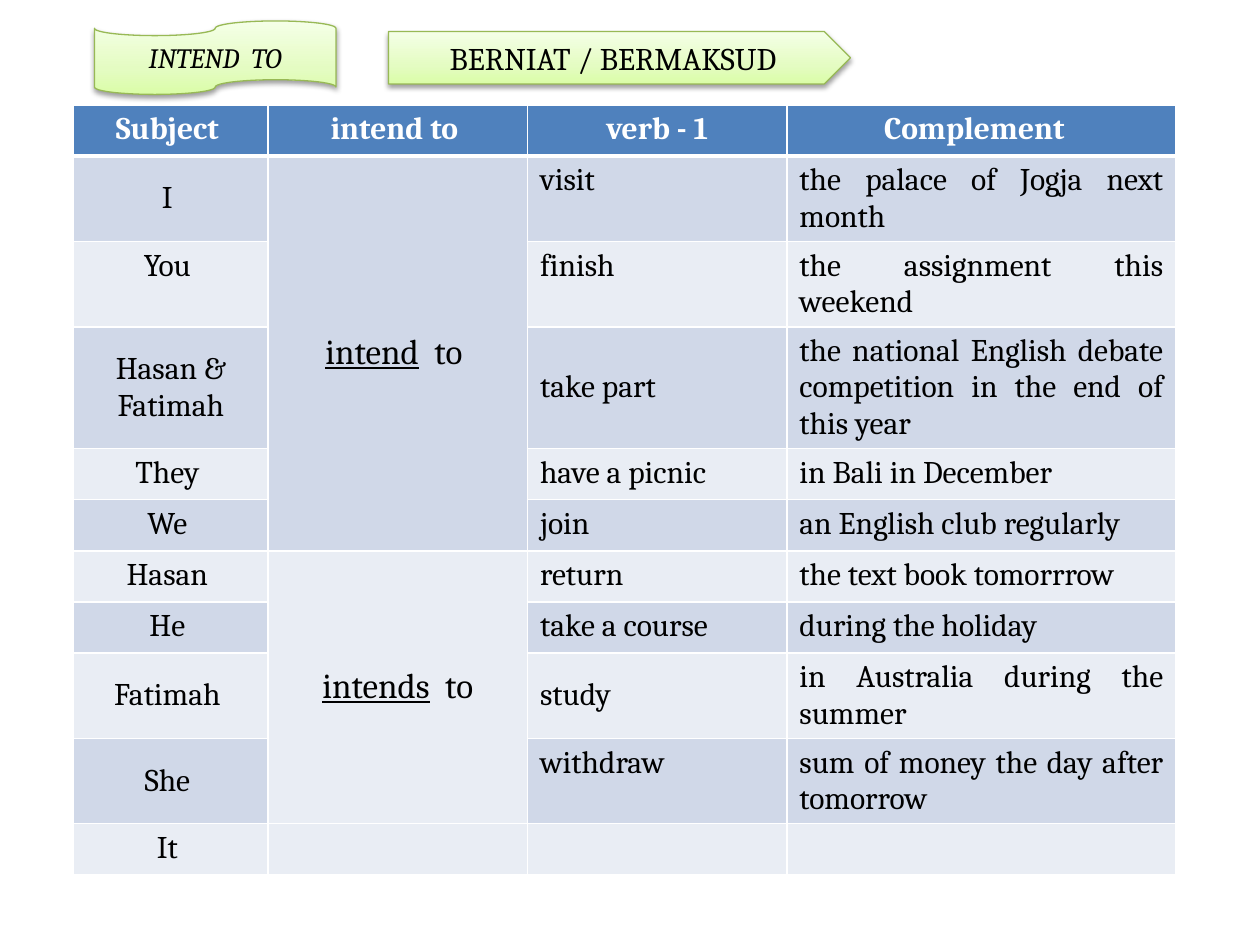
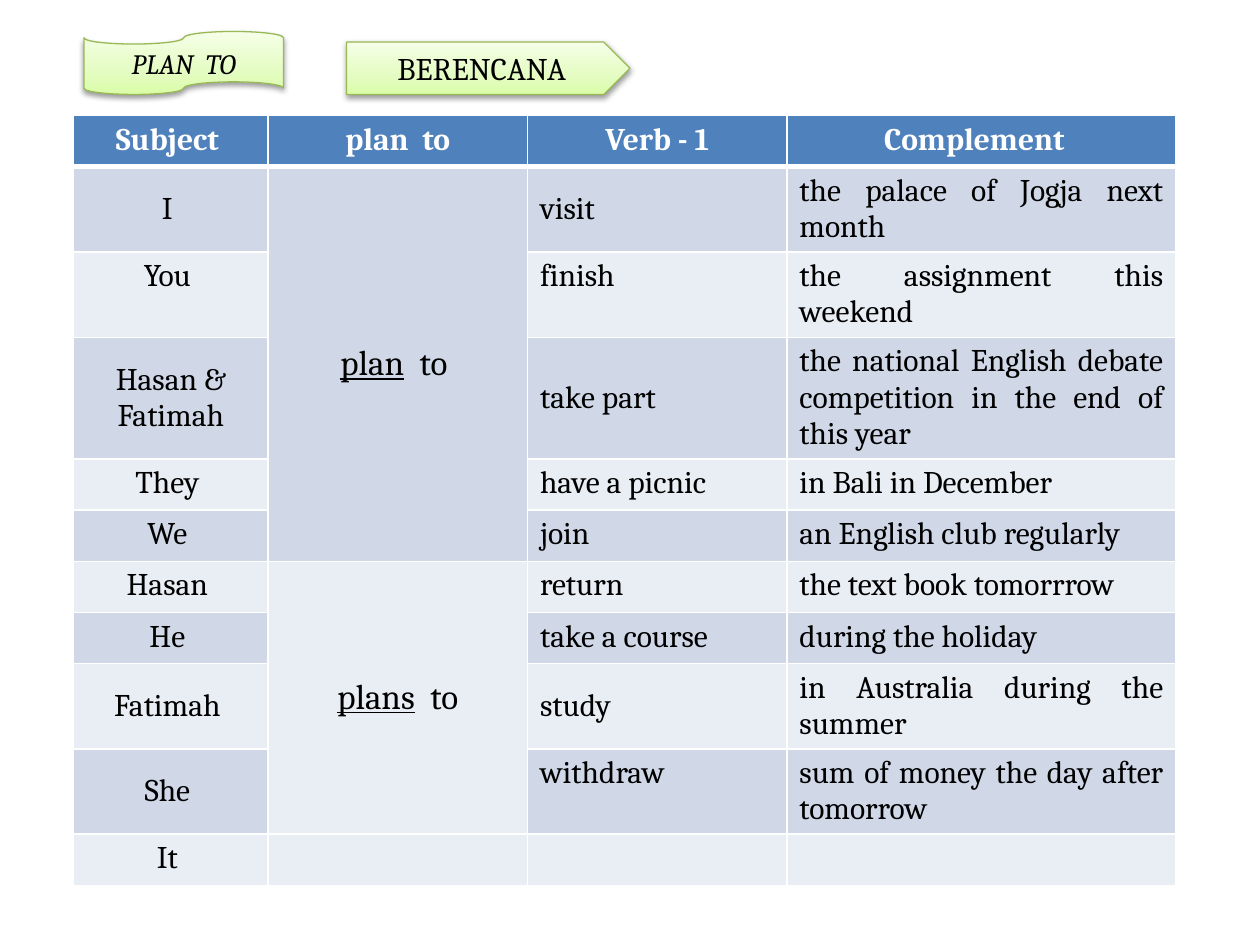
from copy import deepcopy

from lxml import etree
from pptx import Presentation
from pptx import util as u
from pptx.dml.color import RGBColor
from pptx.enum import shapes, text
from pptx.oxml import ns

Pt = u.Pt
WHITE = RGBColor(0xFF, 0xFF, 0xFF)
BLACK = RGBColor(0x00, 0x00, 0x00)
HEADER = RGBColor(0x4F, 0x81, 0xBD)
BANDS = (RGBColor(0xE9, 0xED, 0xF4), RGBColor(0xD0, 0xD8, 0xE8))
GREEN_LINE = RGBColor(0x98, 0xB9, 0x55)
GREENS = (
    (0, RGBColor(0xDA, 0xFD, 0xA7)),
    (0.35, RGBColor(0xE4, 0xFC, 0xC2)),
    (1, RGBColor(0xF5, 0xFF, 0xE7)),
)
FONT = "Cambria"
LEFT, CENTER, JUSTIFY = text.PP_ALIGN.LEFT, text.PP_ALIGN.CENTER, text.PP_ALIGN.JUSTIFY
TOP, MIDDLE = text.MSO_ANCHOR.TOP, text.MSO_ANCHOR.MIDDLE
TAPE = shapes.MSO_SHAPE.FLOWCHART_PUNCHED_TAPE
ARROW = shapes.MSO_SHAPE.PENTAGON

TABLE_LEFT, TABLE_WIDTH, ROW_HEIGHT = 42, 630, 29.2
COLUMN_SHARES = (3, 4, 4, 6)
SENTENCES = (
    ("I ", "visit", "the palace of Jogja next month"),
    ("You ", "finish", "the assignment this weekend"),
    ("Hasan & Fatimah", "take part",
     "the national English debate competition in the end of this year"),
    ("They ", "have a picnic", "in Bali in December"),
    ("We ", "join", "an English club regularly"),
    ("Hasan ", "return", "the text book tomorrrow"),
    ("He ", "take a course", "during the holiday"),
    ("Fatimah ", "study", "in Australia during the summer"),
    ("She ", "withdraw", "sum of money the day after tomorrow"),
    ("It ", "", ""),
)
MIDDLE_SUBJECTS = {"I ", "Hasan & Fatimah", "Fatimah ", "She "}
MIDDLE_VERBS = {"take part", "study"}


class Deck:
    def __init__(self):
        self.prs = Presentation()
        self.prs.slide_width, self.prs.slide_height = Pt(720), Pt(540)
        self.s = None

    def slide(self):
        self.s = self.prs.slides.add_slide(self.prs.slide_layouts[6])

    def run(self, p, content, size=18, color=BLACK, bold=False, italic=False,
            underline=False):
        r = p.add_run()
        r.text = content
        f = r.font
        f.name, f.size, f.bold, f.italic = FONT, Pt(size), bold, italic
        f.underline = underline
        f.color.rgb = color

    def banner(self, kind, box, content, size, italic=False):
        sp = self.s.shapes.add_shape(kind, *map(Pt, box))
        sp.fill.gradient()
        sp.fill.gradient_angle = 90
        stops = sp._element.spPr.find(".//" + ns.qn("a:gsLst"))
        stops.insert(1, deepcopy(stops[0]))
        for stop, (position, color) in zip(sp.fill.gradient_stops, GREENS):
            stop.position = position
            stop.color.rgb = color
        sp.line.color.rgb = GREEN_LINE
        sp.line.width = Pt(0.75)
        self.shadow(sp)
        tf = sp.text_frame
        tf.word_wrap = True
        tf.vertical_anchor = MIDDLE
        p = tf.paragraphs[0]
        p.alignment = CENTER
        self.run(p, content, size, italic=italic)

    def shadow(self, sp):
        sp.shadow.inherit = False
        effects = sp._element.spPr.find(ns.qn("a:effectLst"))
        outer = etree.SubElement(
            effects, ns.qn("a:outerShdw"), blurRad=str(Pt(3.15)), dist=str(Pt(1.6)),
            dir="5400000", rotWithShape="0")
        color = etree.SubElement(outer, ns.qn("a:srgbClr"), val=str(BLACK))
        etree.SubElement(color, ns.qn("a:alpha"), val="38000")

    def borders(self, cell, top=1, bottom=1):
        tc_pr = cell._tc.get_or_add_tcPr()
        sides = (("L", 1), ("R", 1), ("T", top), ("B", bottom))
        for i, (side, width) in enumerate(sides):
            ln = etree.Element(ns.qn("a:ln" + side), w=str(Pt(width)))
            fill = etree.SubElement(ln, ns.qn("a:solidFill"))
            etree.SubElement(fill, ns.qn("a:srgbClr"), val=str(WHITE))
            tc_pr.insert(i, ln)

    def cell_text(self, cell, content, align=LEFT, anchor=TOP, **style):
        cell.vertical_anchor = anchor
        p = cell.text_frame.paragraphs[0]
        p.alignment = align
        if content:
            self.run(p, content, **style)

    def verb_form(self, table, first, last, verb, ending):
        cell = table.cell(first, 1)
        cell.merge(table.cell(last, 1))
        self.cell_text(cell, verb, CENTER, MIDDLE, size=20, underline=True)
        self.run(cell.text_frame.paragraphs[0], ending, 20)

    def sentence_table(self, top, headings, plural, singular, middle_verbs):
        rows = len(SENTENCES) + 1
        table = self.s.shapes.add_table(
            rows, len(COLUMN_SHARES), Pt(TABLE_LEFT), Pt(top),
            Pt(TABLE_WIDTH), Pt(ROW_HEIGHT * rows)).table
        for column, share in zip(table.columns, COLUMN_SHARES):
            column.width = Pt(TABLE_WIDTH * share / sum(COLUMN_SHARES))
        for i, row in enumerate(table.rows):
            row.height = Pt(ROW_HEIGHT)
            for cell in row.cells:
                cell.fill.solid()
                cell.fill.fore_color.rgb = BANDS[i % 2] if i else HEADER
                self.borders(cell, 3 if i == 1 else 1, 1 if i else 3)
        for i, heading in enumerate(headings):
            self.cell_text(table.cell(0, i), heading, CENTER, color=WHITE, bold=True)
        for i, (subject, verb, complement) in enumerate(SENTENCES, 1):
            self.cell_text(table.cell(i, 0), subject, CENTER,
                           MIDDLE if subject in MIDDLE_SUBJECTS else TOP)
            self.cell_text(table.cell(i, 2), verb, LEFT,
                           MIDDLE if verb in middle_verbs else TOP)
            self.cell_text(table.cell(i, 3), complement, JUSTIFY)
        self.verb_form(table, 1, 5, *plural)
        self.verb_form(table, 6, 9, *singular)


def main():
    deck = Deck()

    deck.slide()
    deck.sentence_table(
        60, ("Subject ", "intend to ", "verb - 1", "Complement  "),
        ("intend", "  to "), ("intends", "  to"), MIDDLE_VERBS)
    deck.banner(TAPE, (54, 12, 138, 42), "INTEND  TO", 16, italic=True)
    deck.banner(ARROW, (222, 18, 264, 30), "BERNIAT / BERMAKSUD", 18)

    deck.slide()
    deck.sentence_table(
        66, ("Subject ", "plan  to", "Verb - 1", "Complement  "),
        ("plan", "  to "), ("plans", "  to"), MIDDLE_VERBS | {"visit"})
    deck.banner(TAPE, (48, 18, 114, 36), "PLAN  TO", 16, italic=True)
    deck.banner(ARROW, (198, 24, 162, 30), "BERENCANA", 18)

    deck.prs.save("out.pptx")


if __name__ == "__main__":
    main()
